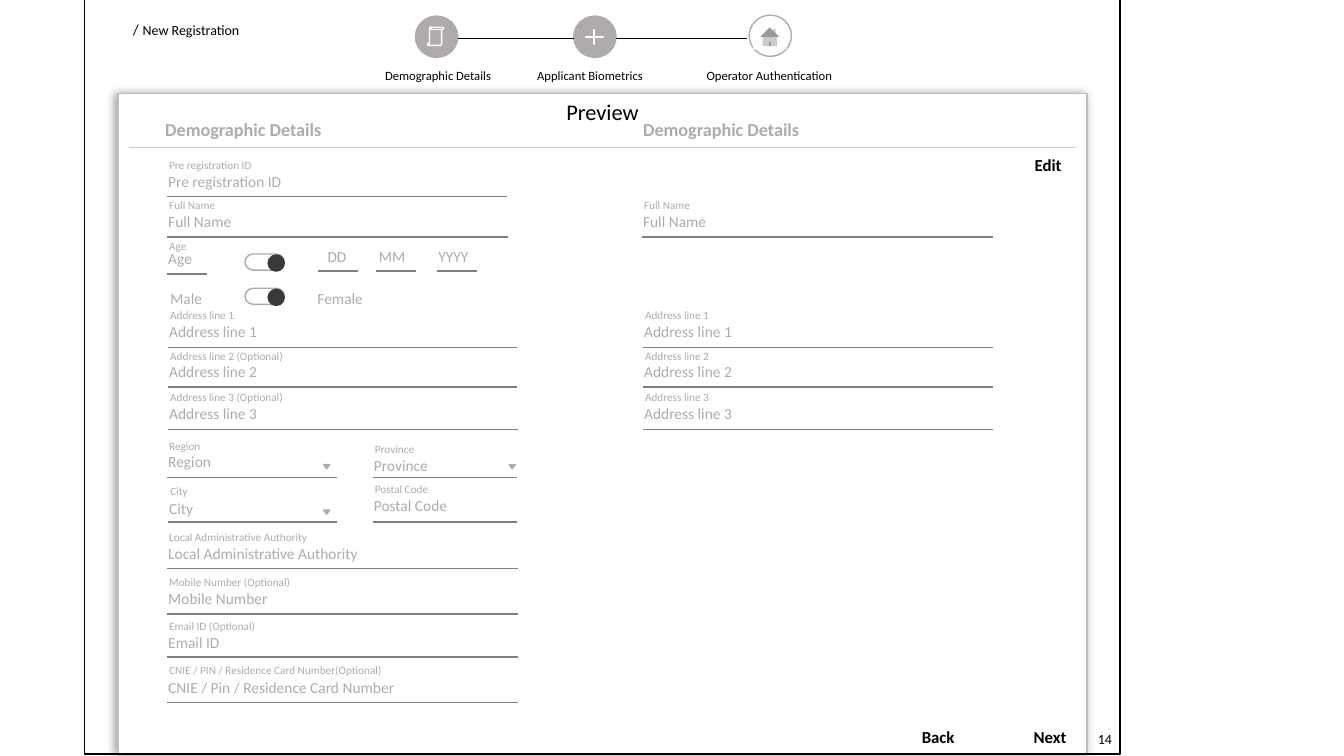
from lxml.etree import SubElement
from pptx import Presentation
from pptx.dml.color import RGBColor
from pptx.enum.shapes import MSO_CONNECTOR, MSO_SHAPE as Preset
from pptx.enum.text import MSO_ANCHOR, MSO_AUTO_SIZE, PP_ALIGN
from pptx.oxml.ns import qn
from pptx.util import Emu, Pt

PX = 9144
GREY, BLACK, WHITE, RULE, KNOB = "AFABAB", "000000", "FFFFFF", "808080", "3B3838"
color = RGBColor.from_string


def px(*lengths):
    return [Emu(length * PX) for length in lengths]


def write(text, left, top, width, height, size=11, ink=GREY, bold=False,
          centered=False, wrap=False, shape=None):
    if shape is None:
        shape = slide.shapes.add_textbox(*px(left, top, width, height))
    else:
        shape.left, shape.top, shape.width, shape.height = px(left, top, width, height)
    frame = shape.text_frame
    frame.word_wrap = wrap
    frame.auto_size = MSO_AUTO_SIZE.SHAPE_TO_FIT_TEXT
    frame.vertical_anchor = MSO_ANCHOR.TOP
    paragraph = frame.paragraphs[0]
    paragraph.alignment = PP_ALIGN.CENTER if centered else PP_ALIGN.LEFT
    runs = [(text, size)] if isinstance(text, str) else text
    for words, points in runs:
        run = paragraph.add_run()
        run.text = words
        run.font.name = "Calibri"
        run.font.size = Pt(points)
        run.font.bold = bold
        run.font.color.rgb = color(ink)


presentation = Presentation()
presentation.slide_width, presentation.slide_height = px(1333, 750)
slide = presentation.slides.add_slide(presentation.slide_layouts[5])
title = slide.shapes.title

# left, line end, line y, label, label top, label width, value, value top, value width
fields = [
    (166, 503, 195, "Pre registration ID", 152, 103, "Pre registration ID", 166, 134),
    (166, 504, 235, "Full Name", 192, 66, "Full Name", 206, 83),
    (166, 205, 272, "Age", 233, 38, "Age", 242, 44),
    (167, 513, 345, "Address line 1", 301, 84, "Address line 1", 315, 108),
    (167, 513, 384, "Address line 2 (Optional)", 342, 133, "Address line 2", 354, 108),
    (167, 514, 426, "Address line 3 (Optional)", 382, 133, "Address line 3", 396, 108),
    (166, 334, 474, "Region", 431, 52, "Region", 444, 63),
    (370, 513, 474, "Province", 434, 60, "Province", 448, 74),
    (167, 334, 518, "City", 476, 38, "City", 490, 44),
    (370, 513, 518, "Postal Code", 474, 74, "Postal Code", 487, 94),
    (166, 514, 564, "Local Administrative Authority", 521, 159,
     "Local Administrative Authority", 535, 210),
    (166, 514, 609, "Mobile Number (Optional)", 566, 141, "Mobile Number", 580, 119),
    (166, 514, 652, "Email ID (Optional)", 609, 106, "Email ID", 623, 71),
    (166, 514, 697, "CNIE / PIN / Residence Card Number(Optional)", 653, 232,
     "CNIE / Pin / Residence Card Number", 668, 247),
    (637, 985, 235, "Full Name", 192, 66, "Full Name", 206, 83),
    (638, 985, 345, "Address line 1", 301, 84, "Address line 1", 315, 108),
    (638, 985, 384, "Address line 2", 342, 84, "Address line 2", 354, 108),
    (638, 985, 426, "Address line 3", 382, 84, "Address line 3", 396, 108),
]

shapes = [
    (Preset.ROUNDED_RECTANGLE, 117, 93, 961, 655, WHITE, "BFBFBF", 0),
    (Preset.RECTANGLE, 84, -2, 1027, 750, None, BLACK, None),
    (Preset.OVAL, 412, 16, 42, 41, GREY, GREY, None),
    (Preset.VERTICAL_SCROLL, 424, 27, 16, 18, GREY, WHITE, None),
    (Preset.OVAL, 569, 16, 42, 41, GREY, GREY, None),
    (Preset.MATH_PLUS, 578, 27, 23, 19, WHITE, WHITE, 0.042),
    (Preset.OVAL, 743, 15, 42, 41, WHITE, GREY, None),
    (Preset.ACTION_BUTTON_HOME, 747, 24, 33, 25, WHITE, None, None),
]
for top in (252, 286):
    shapes.append((Preset.ROUNDED_RECTANGLE, 243, top, 39, 16, WHITE, GREY, 0.5))
    shapes.append((Preset.OVAL, 266, top + 1, 16, 16, KNOB, KNOB, None))
for left, top in ((321, 461), (505, 461), (321, 506)):
    shapes.append((Preset.ISOSCELES_TRIANGLE, left, top, 6, 4, GREY, GREY, None))

for preset, left, top, width, height, fill, outline, adjustment in shapes:
    shape = slide.shapes.add_shape(preset, *px(left, top, width, height))
    shape.shadow.inherit = False
    if fill:
        shape.fill.solid()
        shape.fill.fore_color.rgb = color(fill)
    else:
        shape.fill.background()
    if outline:
        shape.line.color.rgb = color(outline)
        shape.line.width = Pt(1)
    else:
        shape.line.fill.background()
    if adjustment is not None:
        shape.adjustments[0] = adjustment
    if preset == Preset.ISOSCELES_TRIANGLE:
        shape.rotation = 180
    if outline == "BFBFBF":
        effects = shape.element.spPr.find(qn("a:effectLst"))
        shadow = SubElement(effects, qn("a:outerShdw"), blurRad=str(Pt(6)),
                            dist=str(Pt(2)), dir=str(170 * 60000), rotWithShape="0")
        shade = SubElement(shadow, qn("a:srgbClr"), val=RULE)
        SubElement(shade, qn("a:alpha"), val="80000")
        shape.element.addnext(title.element)

lines = [(field[0], field[1], field[2], RULE, 1) for field in fields]
lines += [(left, left + 40, 269, RULE, 1) for left in (315, 373, 433)]
lines += [(454, 569, 38, BLACK, 0.5), (611, 741, 38, BLACK, 0.5),
          (128, 1067, 146, "D0CECE", 0.5)]
for start, end, y, ink, weight in lines:
    connector = slide.shapes.add_connector(MSO_CONNECTOR.STRAIGHT, *px(start, y, end, y))
    connector.line.color.rgb = color(ink)
    connector.line.width = Pt(weight)
    SubElement(connector.element.spPr, qn("a:effectLst"))

write("Preview", 507, 92, 181, 37, size=16, ink=BLACK, centered=True, wrap=True, shape=title)
write([("/", 11), (" ", 12), ("New Registration", 10)], 122, 14, 128, 30, ink=BLACK)

for step, left, width in (("Demographic Details", 372, 131),
                          ("Applicant Biometrics", 523, 133),
                          ("Operator Authentication", 691, 146)):
    write(step, left, 62, width, 25, size=9, ink=BLACK, wrap=True)

for left in (154, 628):
    write("Demographic Details", left, 112, 223, 32, size=13, bold=True, wrap=True)

for left, _, _, label, label_top, label_width, value, value_top, value_width in fields:
    write(label, left - 8, label_top, label_width, 24, size=8)
    write(value, left - 9, value_top, value_width, 29)

for text, left, top, width in (("DD", 315, 240, 39), ("MM", 366, 240, 46),
                               ("YYYY", 425, 240, 50), ("Male", 159, 282, 52),
                               ("Female", 305, 282, 66)):
    write(text, left, top, width, 29)

for button, left, top, width in (("Edit", 1016, 149, 47), ("Back", 904, 716, 53),
                                 ("Next", 1015, 716, 53)):
    write(button, left, top, width, 30, size=12, ink=BLACK, bold=True, centered=True)

write("14", 1079, 720, 48, 27, size=10, ink=BLACK, wrap=True)

presentation.save("out.pptx")
